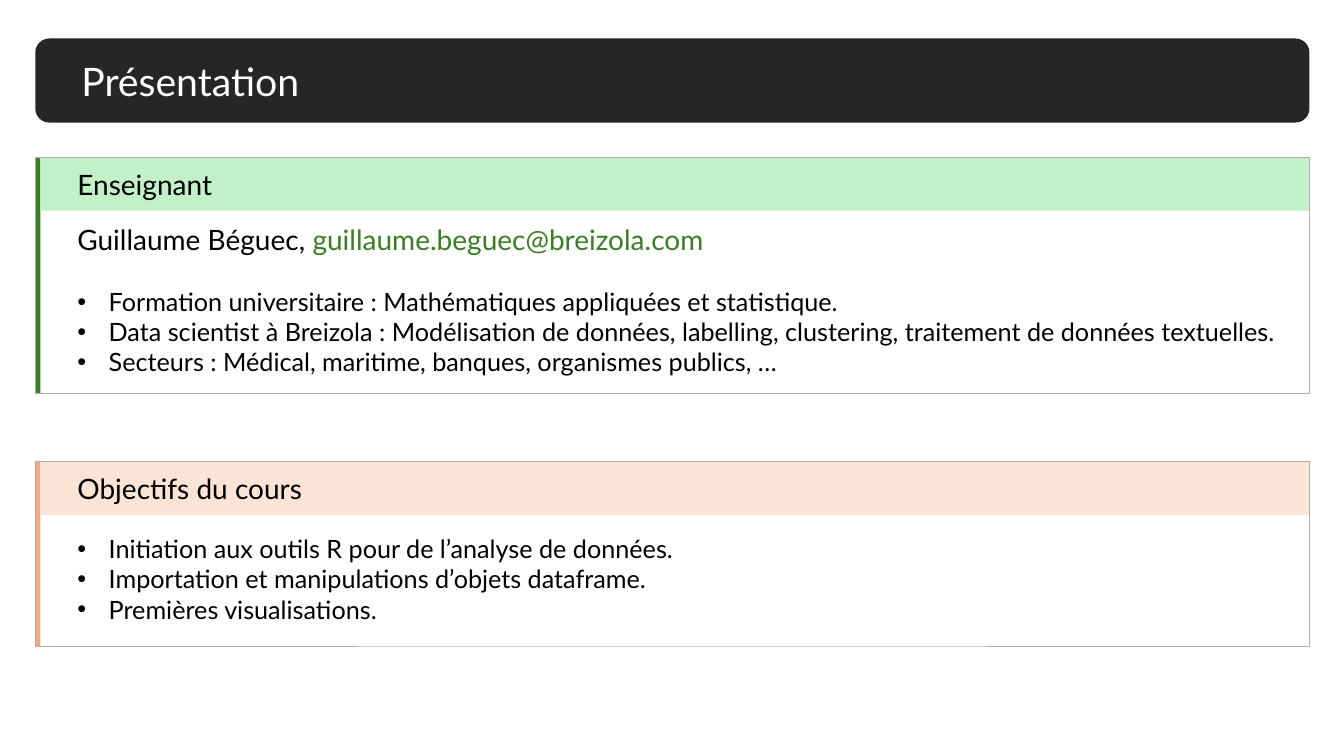
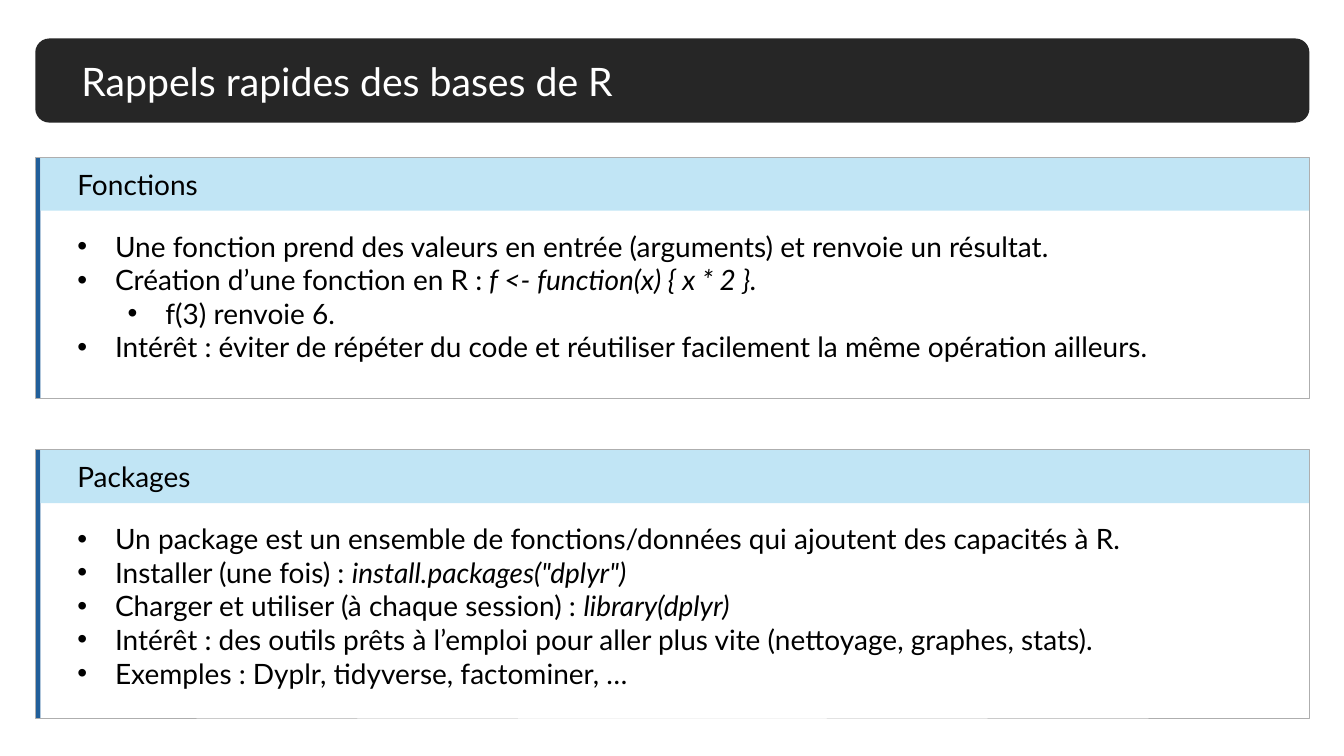
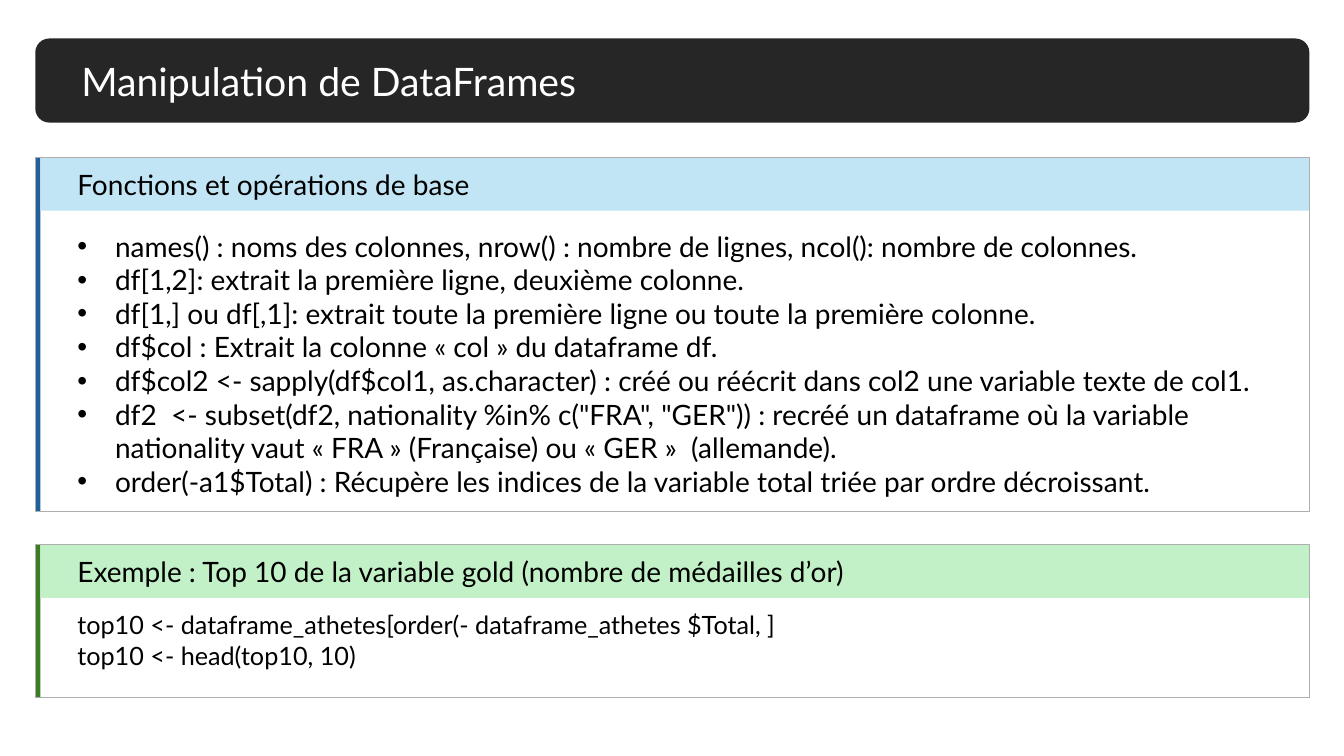
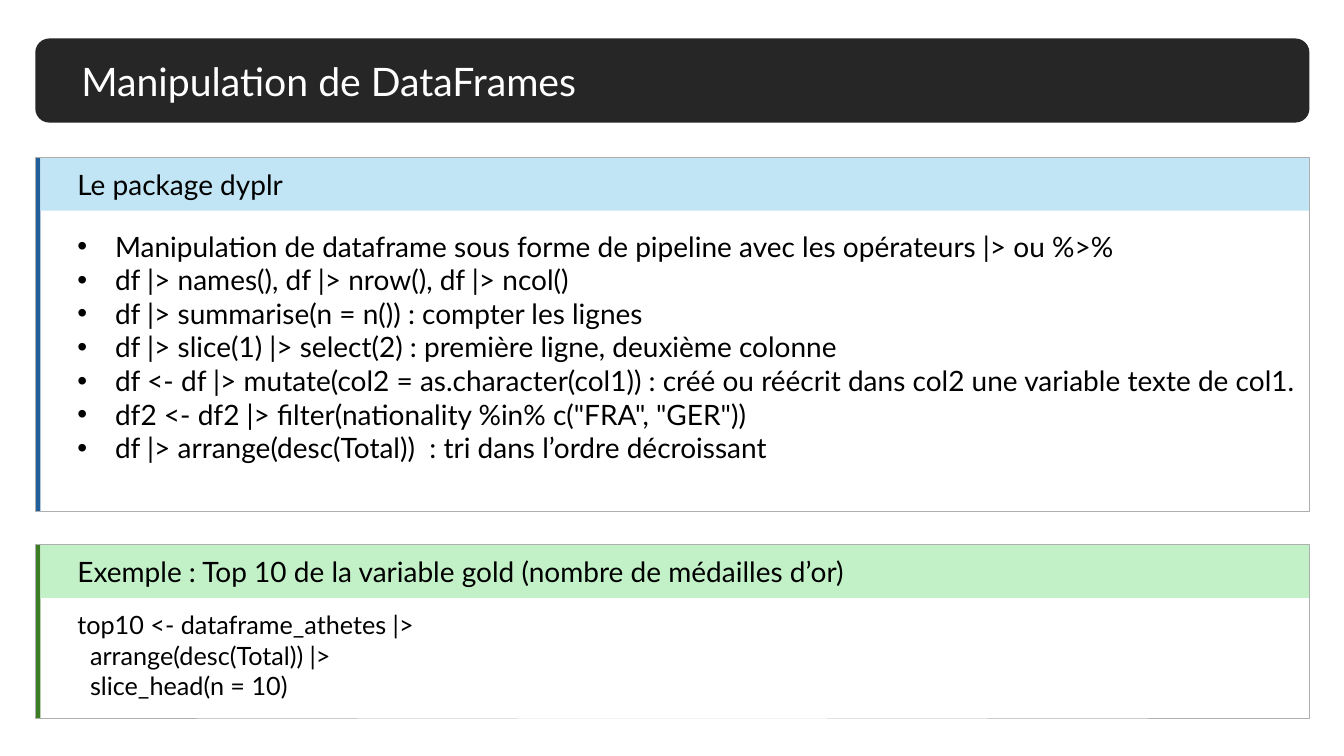
from dataclasses import dataclass

from lxml.etree import SubElement
from pptx import Presentation
from pptx.dml.color import RGBColor
from pptx.enum.shapes import MSO_SHAPE
from pptx.enum.text import MSO_ANCHOR, PP_ALIGN
from pptx.oxml.ns import qn
from pptx.util import Cm, Pt

FONT = "Lato"
BLACK, WHITE = "000000", "FFFFFF"
TITLE_FILL, OUTLINE = "262626", "AEAEAE"
# Each theme is (accent bar, header band)
GREEN = ("3B7D23", "C2F1C8")
ORANGE = ("F2AA84", "FBE3D6")
BLUE = ("215F9A", "C1E5F5")

LEFT, WIDTH = 0.89, 32.11
TEXT_LEFT, TEXT_WIDTH = 1.7, 31.72
TEXT_INSET = 0.25
BAR_WIDTH, HEADER_HEIGHT = 0.13, 1.35
FIRST_TOP = 3.96


@dataclass
class Run:
    text: str
    italic: bool = False
    color: str = BLACK


@dataclass
class Line:
    """One body paragraph; hanging is the bullet's indent, 0 for no bullet."""
    content: object
    size: float = 20
    hanging: float = 0.95
    margin: float = 0.95
    space_after: float = 0


def bullets(*contents, size=20, hanging=0.95):
    return [Line(content, size, hanging, hanging) for content in contents]


def code(text, margin=0):
    return Line(text, 18, 0, margin)


def rgb(color):
    return RGBColor.from_string(color)


def set_font(font, size, color):
    font.name = FONT
    font.size = Pt(size)
    font.color.rgb = rgb(color)


def add_block(slide, kind, left, top, width, height, fill=None, line=None):
    shape = slide.shapes.add_shape(kind, Cm(left), Cm(top), Cm(width), Cm(height))
    shape.shadow.inherit = False
    if fill:
        shape.fill.solid()
        shape.fill.fore_color.rgb = rgb(fill)
    else:
        shape.fill.background()
    if line:
        shape.line.color.rgb = rgb(line)
        shape.line.width = Pt(0.25)
    else:
        shape.line.fill.background()
    return shape


def add_label(shape, left, text, size, color):
    """Write text inside a shape, aligned with the body text of the slide."""
    frame = shape.text_frame
    frame.margin_left = Cm(TEXT_LEFT + TEXT_INSET - left)
    frame.vertical_anchor = MSO_ANCHOR.MIDDLE
    paragraph = frame.paragraphs[0]
    paragraph.text = text
    paragraph.alignment = PP_ALIGN.LEFT
    set_font(paragraph.font, size, color)


def set_indent(paragraph, margin, hanging):
    properties = paragraph._p.get_or_add_pPr()
    properties.set("marL", str(Cm(margin)))
    properties.set("indent", str(-Cm(hanging)))
    if hanging:
        SubElement(properties, qn("a:buFont")).set("typeface", "Arial")
        SubElement(properties, qn("a:buChar")).set("char", "•")


def write_line(paragraph, line):
    set_indent(paragraph, line.margin, line.hanging)
    paragraph.space_after = Pt(line.space_after)
    set_font(paragraph.font, line.size, BLACK)
    if isinstance(line.content, str):
        paragraph.text = line.content
        return
    for part in line.content:
        run = paragraph.add_run()
        run.text = part.text
        if part.italic:
            run.font.italic = True
        if part.color != BLACK:
            run.font.color.rgb = rgb(part.color)


def add_body(slide, top, height, lines):
    box = slide.shapes.add_textbox(Cm(TEXT_LEFT), Cm(top), Cm(TEXT_WIDTH), Cm(height))
    frame = box.text_frame
    frame.word_wrap = True
    for index, line in enumerate(lines):
        paragraph = frame.add_paragraph() if index else frame.paragraphs[0]
        write_line(paragraph, line)


def add_panel(slide, theme, heading, top, height, lines, body_offset=1.69):
    accent, band = theme
    header_left = LEFT + BAR_WIDTH
    add_block(slide, MSO_SHAPE.RECTANGLE, LEFT, top, BAR_WIDTH, height, accent)
    header = add_block(slide, MSO_SHAPE.RECTANGLE, header_left, top,
                       WIDTH - BAR_WIDTH, HEADER_HEIGHT, band)
    add_label(header, header_left, heading, 20, BLACK)
    add_block(slide, MSO_SHAPE.RECTANGLE, LEFT, top, WIDTH, height, line=OUTLINE)
    add_body(slide, top + body_offset, height - body_offset, lines)


def add_example(slide, height, lines):
    add_panel(slide, GREEN, "Exemple : Top 10 de la variable gold (nombre de médailles d’or)",
              13.72, height, lines, body_offset=1.52)


def add_titled_slide(presentation, title):
    slide = presentation.slides.add_slide(presentation.slide_layouts[6])
    bar = add_block(slide, MSO_SHAPE.ROUNDED_RECTANGLE, LEFT, 0.97, WIDTH, 2.12, TITLE_FILL)
    add_label(bar, LEFT, title, 28, WHITE)
    return slide


def build_introduction(presentation):
    slide = add_titled_slide(presentation, "Présentation")
    teacher = Line([Run("Guillaume Béguec, "),
                    Run("guillaume.beguec@breizola.com", color=GREEN[0])],
                   hanging=0, margin=0, space_after=21.6)
    add_panel(slide, GREEN, "Enseignant", FIRST_TOP, 5.94, [teacher] + bullets(
        "Formation universitaire : Mathématiques appliquées et statistique.",
        "Data scientist à Breizola : Modélisation de données, labelling, clustering, "
        "traitement de données textuelles.",
        "Secteurs : Médical, maritime, banques, organismes publics, …",
        size=18, hanging=0.79), body_offset=1.52)
    add_panel(slide, ORANGE, "Objectifs du cours", 11.63, 4.65, bullets(
        "Initiation aux outils R pour de l’analyse de données.",
        "Importation et manipulations d’objets dataframe.",
        "Premières visualisations.",
        size=18, hanging=0.79))


def build_basics(presentation):
    slide = add_titled_slide(presentation, "Rappels rapides des bases de R")
    functions = bullets(
        "Une fonction prend des valeurs en entrée (arguments) et renvoie un résultat.",
        [Run("Création d’une fonction en R :"), Run(" f <- function(x) { x * 2 }.", italic=True)],
        "f(3) renvoie 6.",
        "Intérêt : éviter de répéter du code et réutiliser facilement la même opération ailleurs.")
    functions[2].margin = 2.22
    add_panel(slide, BLUE, "Fonctions", FIRST_TOP, 6.07, functions)
    add_panel(slide, BLUE, "Packages", 11.33, 6.76, bullets(
        "Un package est un ensemble de fonctions/données qui ajoutent des capacités à R.",
        [Run("Installer (une fois) : "), Run('install.packages("dplyr")', italic=True)],
        [Run("Charger et utiliser (à chaque session) : "), Run("library(dplyr)", italic=True)],
        "Intérêt : des outils prêts à l’emploi pour aller plus vite (nettoyage, graphes, stats).",
        "Exemples : Dyplr, tidyverse, factominer, …"))


def build_base_dataframes(presentation):
    slide = add_titled_slide(presentation, "Manipulation de DataFrames")
    add_panel(slide, BLUE, "Fonctions et opérations de base", FIRST_TOP, 8.92, bullets(
        "names() : noms des colonnes, nrow() : nombre de lignes, ncol(): nombre de colonnes.",
        "df[1,2]: extrait la première ligne, deuxième colonne.",
        "df[1,] ou df[,1]: extrait toute la première ligne ou toute la première colonne.",
        "df$col : Extrait la colonne « col » du dataframe df.",
        "df$col2 <- sapply(df$col1, as.character) : créé ou réécrit dans col2 "
        "une variable texte de col1.",
        'df2  <- subset(df2, nationality %in% c("FRA", "GER")) : recréé un dataframe '
        "où la variable nationality vaut « FRA » (Française) ou « GER »  (allemande).",
        "order(-a1$Total) : Récupère les indices de la variable total triée "
        "par ordre décroissant."))
    add_example(slide, 3.86, [
        code("top10 <- dataframe_athetes[order(- dataframe_athetes $Total, ]"),
        code("top10 <- head(top10, 10)")])


def build_pipeline_dataframes(presentation):
    slide = add_titled_slide(presentation, "Manipulation de DataFrames")
    add_panel(slide, BLUE, "Le package dyplr", FIRST_TOP, 8.92, bullets(
        "Manipulation de dataframe sous forme de pipeline avec les opérateurs |> ou %>%",
        "df |> names(), df |> nrow(), df |> ncol()",
        "df |> summarise(n = n()) : compter les lignes",
        "df |> slice(1) |> select(2) : première ligne, deuxième colonne",
        "df <- df |> mutate(col2 = as.character(col1)) : créé ou réécrit dans col2 "
        "une variable texte de col1.",
        'df2 <- df2 |> filter(nationality %in% c("FRA", "GER"))',
        "df |> arrange(desc(Total))  : tri dans l’ordre décroissant"))
    add_example(slide, 4.37, [
        code("top10 <- dataframe_athetes |>"),
        code("arrange(desc(Total)) |>", margin=0.32),
        code("slice_head(n = 10)", margin=0.32)])


def main():
    presentation = Presentation()
    presentation.slide_width = Cm(33.87)
    presentation.slide_height = Cm(19.05)
    build_introduction(presentation)
    build_basics(presentation)
    build_base_dataframes(presentation)
    build_pipeline_dataframes(presentation)
    presentation.save("out.pptx")


if __name__ == "__main__":
    main()
